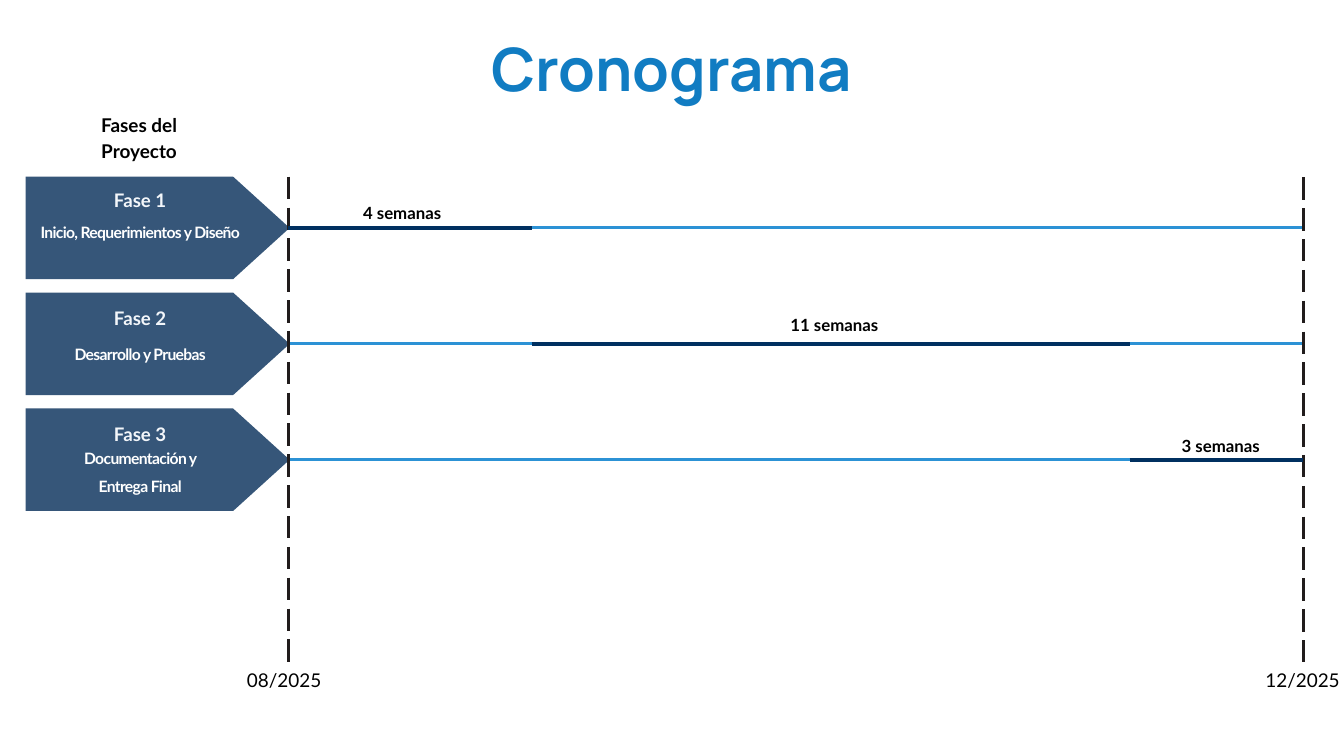
from dataclasses import dataclass

from lxml.etree import SubElement
from pptx import Presentation
from pptx.dml.color import RGBColor
from pptx.enum.dml import MSO_LINE
from pptx.enum.shapes import MSO_CONNECTOR, MSO_SHAPE
from pptx.enum.text import PP_ALIGN
from pptx.oxml.ns import qn
from pptx.util import Pt


@dataclass(frozen=True)
class Theme:
    title_font: str = "Manrope"
    body_font: str = "Lato"
    title_blue: str = "117CC2"
    track_blue: str = "2C92D5"
    bar_navy: str = "003060"
    arrow_fill: str = "365679"
    pale: str = "F3F6FA"
    white: str = "FFFFFF"
    black: str = "000000"
    dash: str = "211C1C"
    title_size: float = 64
    heading_size: float = 20.3
    phase_size: float = 20
    duration_size: float = 18
    detail_size: float = 16.8


@dataclass(frozen=True)
class Phase:
    name: str
    detail: str
    duration: str
    bar: tuple          # start and end of the bar
    name_drop: float    # text offsets from the top of the row
    detail_drop: float
    detail_inset: float
    duration_left: float
    duration_drop: float


THEME = Theme()
START, END = 308.8, 1396.5
FIRST_BREAK, SECOND_BREAK = 569.5, 1210.3
ROW_LEFT, ROW_TOP, ROW_STEP = 27.4, 189.3, 124.2
ARROW_WIDTH, ARROW_HEIGHT, ARROW_POINT = 282.9, 109.8, 60.5

PHASES = [
    Phase("Fase 1", "Inicio, Requerimientos y Diseño", "4 semanas",
          (START, FIRST_BREAK), 8.7, 39.7, 0, 360, 23.8),
    Phase("Fase 2", "Desarrollo y Pruebas", "11 semanas",
          (FIRST_BREAK, SECOND_BREAK), 11.2, 45.8, 0, 823, 20.6),
    Phase("Fase 3", "Documentación y Entrega Final", "3 semanas",
          (SECOND_BREAK, END), 10.9, 33.2, 22, 1237, 25.3),
]


def add_text(page, box, text, color, size, leading, bold=True, font=THEME.body_font, tracking=0):
    """Place centred text in box (left, top, width, height), all in points."""
    frame = page.shapes.add_textbox(*map(Pt, box)).text_frame
    layout = {"margin_left": 0, "margin_top": 0, "margin_right": 0,
              "margin_bottom": 0, "word_wrap": True}
    for name, value in layout.items():
        setattr(frame, name, value)
    para = frame.paragraphs[0]
    para.alignment = PP_ALIGN.CENTER
    para.line_spacing = Pt(leading)
    span = para.add_run()
    span.text = text
    for name, value in {"name": font, "size": Pt(size), "bold": bold}.items():
        setattr(span.font, name, value)
    span.font.color.rgb = RGBColor.from_string(color)
    if tracking:
        span.font._element.set("spc", str(round(tracking * 100)))


def add_line(page, start, end, color, width, dash=None):
    line = page.shapes.add_connector(MSO_CONNECTOR.STRAIGHT, *map(Pt, (*start, *end)))
    line.line.color.rgb = RGBColor.from_string(color)
    line.line.width = Pt(width)
    if dash:
        line.line.dash_style = dash
    SubElement(line._element.spPr, qn("a:effectLst"))
    return line


def add_phase_arrow(page, box, phase):
    left, top, width, height = box
    arrow = page.shapes.add_shape(MSO_SHAPE.PENTAGON, *map(Pt, box))
    arrow.adjustments[0] = ARROW_POINT / height
    arrow.shadow.inherit = False
    arrow.fill.solid()
    arrow.fill.fore_color.rgb = RGBColor.from_string(THEME.arrow_fill)
    arrow.line.fill.background()

    text_left, text_width = left + 14.4, width - 66.2
    add_text(page, (text_left, top + phase.name_drop, text_width, 28.8),
             phase.name, THEME.pale, THEME.phase_size, 28)
    inset = phase.detail_inset
    add_text(page, (text_left + inset, top + phase.detail_drop, text_width - 2 * inset, 59),
             phase.detail, THEME.white, THEME.detail_size, 30.3, tracking=-0.7)
    return arrow


def add_phase_row(page, box, phase):
    """Draw the arrow, the thin track and the duration label of one phase."""
    left, top, width, height = box
    arrow = add_phase_arrow(page, (left, top, ARROW_WIDTH, height), phase)
    middle = top + height / 2
    track = add_line(page, (left + ARROW_WIDTH, middle), (left + width, middle),
                     THEME.track_blue, 3)
    track.begin_connect(arrow, 3)
    add_text(page, (phase.duration_left, top + phase.duration_drop, 141.8, 25.2),
             phase.duration, THEME.black, THEME.duration_size, 25.2)


def add_date_marker(page, box, date, label_left):
    left, top, _, height = box
    add_line(page, (left, top), (left, top + height), THEME.dash, 3, MSO_LINE.LONG_DASH)
    add_text(page, (label_left, top + height, 136, 28.8), date,
             THEME.black, THEME.heading_size, 28.4, bold=False)


def add_timeline(page, box):
    left, top, width, height = box
    rows = [top + index * ROW_STEP for index in range(len(PHASES))]
    for row_top, phase in zip(rows, PHASES):
        add_phase_row(page, (left, row_top, width, ARROW_HEIGHT), phase)
    add_date_marker(page, (START, top, 0, height), "08/2025", 236.5)
    add_date_marker(page, (END, top + 0.7, 0, height), "12/2025", 1327.6)
    for row_top, phase in zip(rows, PHASES):
        middle = row_top + ARROW_HEIGHT / 2
        bar_start, bar_end = phase.bar
        add_line(page, (bar_start, middle), (bar_end, middle), THEME.bar_navy, 4.5)


def add_headings(page, box):
    left, top, width, height = box
    add_text(page, (left + 388, top, 663, height), "Cronograma", THEME.title_blue,
             THEME.title_size, 76.8, font=THEME.title_font)
    add_text(page, (left + 72, top + 83.5, 154, 57.6), "Fases del Proyecto",
             THEME.black, THEME.heading_size, 28.4)


def main():
    deck = Presentation()
    deck.slide_width, deck.slide_height = Pt(1440), Pt(810)
    page = deck.slides.add_slide(deck.slide_layouts[6])
    add_headings(page, (0, 33.8, 1440, 77))
    add_timeline(page, (ROW_LEFT, ROW_TOP, END - ROW_LEFT, 522.5))
    deck.save("out.pptx")


if __name__ == "__main__":
    main()
